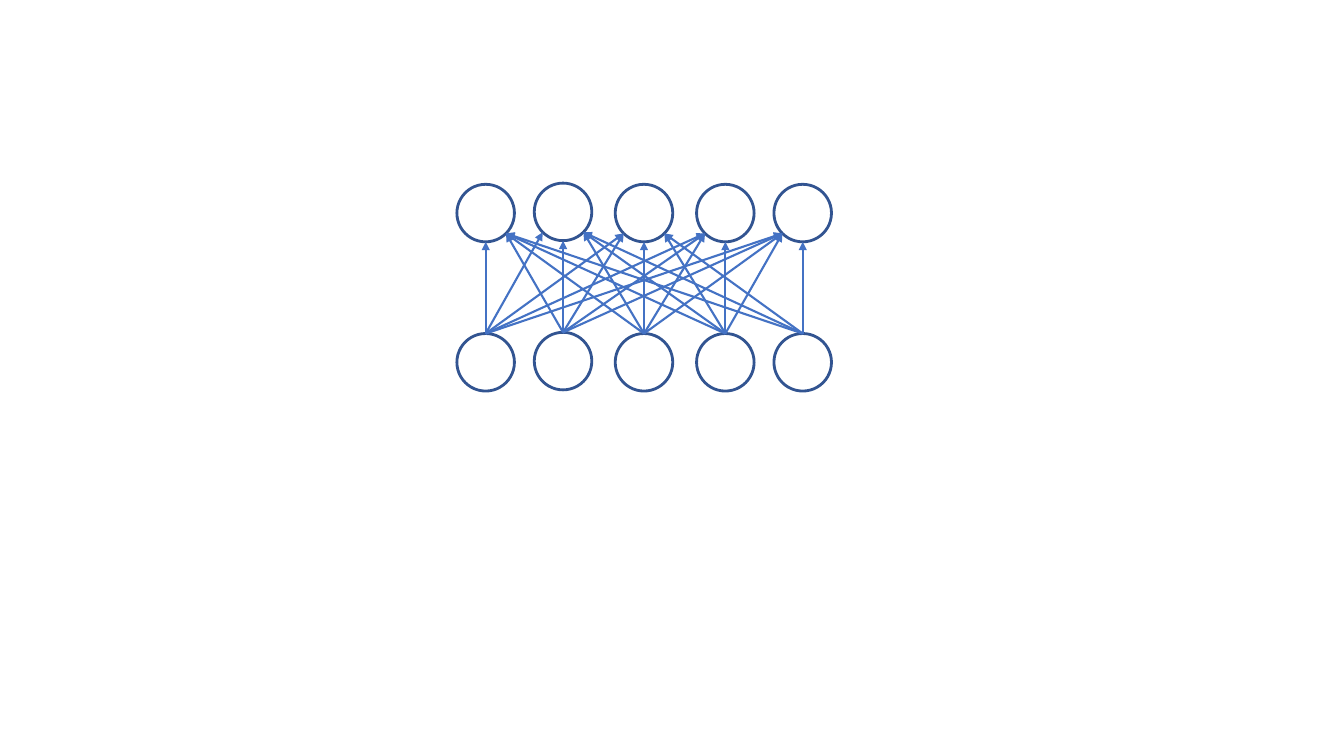
import math

from lxml import etree
from pptx import Presentation
from pptx.dml.color import RGBColor
from pptx.enum.shapes import MSO_CONNECTOR, MSO_SHAPE
from pptx.oxml.ns import qn
from pptx.util import Cm, Pt

COLORS = {"neuron": "325491", "link": "4472C4"}

# Layer geometry in centimetres
DIAMETER = 1.45
RADIUS = DIAMETER / 2
DIAGONAL = RADIUS * math.sqrt(0.5)
CENTERS_X = [12.24, 14.19, 16.23, 18.28, 20.23]
RISES = [0, 0.03, 0, 0, 0]
OUTPUT_Y, INPUT_Y = 5.37, 9.13
UNLINKED = {(4, 3)}  # (input, output)


class NetworkSlide:
    def __init__(self, prs, colors):
        self.slide = prs.slides.add_slide(prs.slide_layouts[6])
        self.colors = colors

    def paint_line(self, line, color, width):
        line.color.rgb = RGBColor.from_string(self.colors[color])
        line.width = Pt(width)

    def neuron(self, x, y):
        circle = self.slide.shapes.add_shape(
            MSO_SHAPE.OVAL, Cm(x - RADIUS), Cm(y - RADIUS), Cm(DIAMETER), Cm(DIAMETER))
        circle.shadow.inherit = False
        circle.fill.background()
        self.paint_line(circle.line, "neuron", 2)

    def arrow(self, start, end):
        link = self.slide.shapes.add_connector(
            MSO_CONNECTOR.STRAIGHT, *(Cm(v) for v in (*start, *end)))
        self.paint_line(link.line, "link", 1.5)
        properties = link._element.spPr
        etree.SubElement(properties.find(qn("a:ln")), qn("a:tailEnd"), type="triangle")
        etree.SubElement(properties, qn("a:effectLst"))


def entry_point(source, target):
    """Point where a link meets the output circle on the side it comes from."""
    x, y = CENTERS_X[target], OUTPUT_Y - RISES[target]
    if source == target:
        return x, y + RADIUS
    side = 1 if source > target else -1
    return x + side * DIAGONAL, y + DIAGONAL


prs = Presentation()
prs.slide_width, prs.slide_height = Cm(33.87), Cm(19.05)
network = NetworkSlide(prs, COLORS)

# Output and input layers
for layer_y in (OUTPUT_Y, INPUT_Y):
    for x, rise in zip(CENTERS_X, RISES):
        network.neuron(x, layer_y - rise)

# Links from each input to the outputs
for source, (x, rise) in enumerate(zip(CENTERS_X, RISES)):
    for target in range(len(CENTERS_X)):
        if (source, target) not in UNLINKED:
            network.arrow((x, INPUT_Y - rise - RADIUS), entry_point(source, target))

prs.save("out.pptx")
